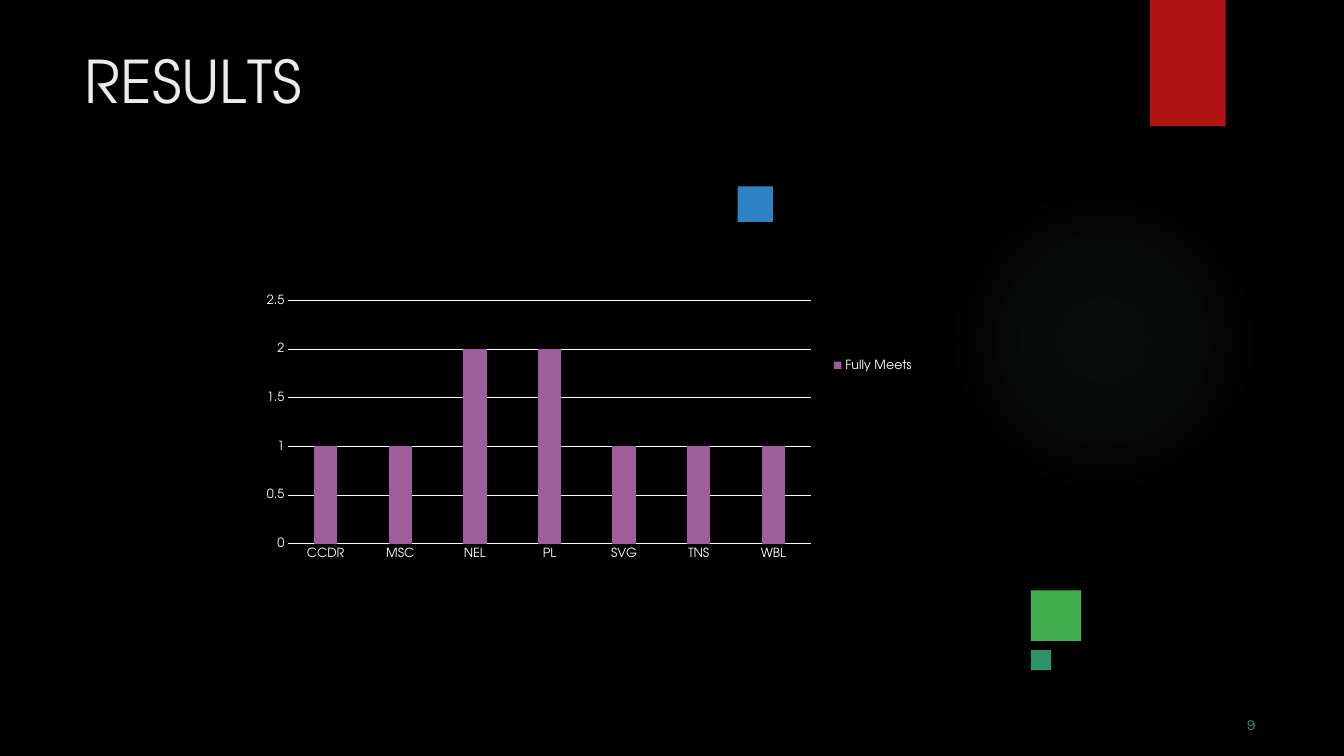
import pptx
import pptx.chart.data
import pptx.dml.color
import pptx.enum.chart
import pptx.enum.shapes
import pptx.enum.text
import pptx.oxml
import pptx.oxml.ns
import pptx.util

Cm, Pt = pptx.util.Cm, pptx.util.Pt

COLORS = {
    "background": "000000",
    "title": "EBEBEB",
    "chart_text": "FFFFFF",
    "bars": "9E5E9B",
    "red": "B01513",
    "green": "42AF51",
    "blue": "2D83C3",
    "teal": "2D936B",
    "glow": "50B9C1",
}
GLOW_STOPS = [(0, 7), (36, 6), (69, 0)]  # position and opacity in percent
SQUARES = [
    (25.98, 14.88, 1.27, "green"),
    (18.59, 4.7, 0.89, "blue"),
    (25.98, 16.38, 0.51, "teal"),
]
TITLE_KERNING = [("R", 0), ("E", -0.4), ("S", 0.1), ("U", -0.3), ("L", -4), ("TS", 0)]
FULLY_MEETS = {"CCDR": 1, "MSC": 1, "NEL": 2, "PL": 2, "SVG": 1, "TNS": 1, "WBL": 1}


def rgb(color):
    return pptx.dml.color.RGBColor.from_string(COLORS[color])


def format_font(font, size, color, family):
    font.size = Pt(size)
    font.name = family
    font.color.rgb = rgb(color)


def write_text(paragraph, text, *, size, color, family, spacing=0):
    """Add a run; spacing is the letter spacing in points."""
    run = paragraph.add_run()
    run.text = text
    format_font(run.font, size, color, family)
    if spacing:
        run.font._element.set("spc", str(round(spacing * 100)))


def draw_line(line, color):
    line.color.rgb = rgb(color)
    line.width = Pt(0.75)


def place_plot(chart, **fractions):
    """Fix the inner plot area as fractions of the chart (x, y, w, h)."""
    sizes = "".join(f'<c:{key} val="{value}"/>' for key, value in fractions.items())
    layout = pptx.oxml.parse_xml(
        f'<c:layout {pptx.oxml.ns.nsdecls("c")}><c:manualLayout>'
        '<c:layoutTarget val="inner"/><c:xMode val="edge"/><c:yMode val="edge"/>'
        f"{sizes}</c:manualLayout></c:layout>"
    )
    plot_area = chart._chartSpace.chart.plotArea
    for default in plot_area.findall(pptx.oxml.ns.qn("c:layout")):
        plot_area.remove(default)
    plot_area.insert(0, layout)


class SlideBuilder:
    heading_font = "TeX Gyre Adventor"
    number_font = "Karla"

    def __init__(self, presentation):
        self.slide = presentation.slides.add_slide(presentation.slide_layouts[6])
        background = self.slide.background.fill
        background.solid()
        background.fore_color.rgb = rgb("background")

    def block(self, left, top, width, height, color, kind="RECTANGLE"):
        shape = self.slide.shapes.add_shape(
            pptx.enum.shapes.MSO_SHAPE[kind], Cm(left), Cm(top), Cm(width), Cm(height)
        )
        shape.shadow.inherit = False
        shape.line.fill.background()
        shape.fill.solid()
        shape.fill.fore_color.rgb = rgb(color)
        return shape

    def glow(self, left, top, diameter):
        """Draw a circle that fades out from its centre."""
        circle = self.block(left, top, diameter, diameter, "glow", "OVAL")
        stops = "".join(
            f'<a:gs pos="{position * 1000}"><a:srgbClr val="{COLORS["glow"]}">'
            f'<a:alpha val="{opacity * 1000}"/></a:srgbClr></a:gs>'
            for position, opacity in GLOW_STOPS
        )
        gradient = pptx.oxml.parse_xml(
            f'<a:gradFill {pptx.oxml.ns.nsdecls("a")}><a:gsLst>{stops}</a:gsLst>'
            '<a:path path="circle"><a:fillToRect l="50000" t="50000" r="50000" b="50000"/>'
            "</a:path></a:gradFill>"
        )
        properties = circle._element.spPr
        properties.replace(properties.find(pptx.oxml.ns.qn("a:solidFill")), gradient)

    def text(self, left, top, width, height, runs, indent, **style):
        """Add a one-line box from (text, letter spacing) pairs."""
        box = self.slide.shapes.add_textbox(Cm(left), Cm(top), Cm(width), Cm(height))
        frame = box.text_frame
        frame.word_wrap = True
        frame.auto_size = pptx.enum.text.MSO_AUTO_SIZE.SHAPE_TO_FIT_TEXT
        frame.margin_left, frame.margin_top = Cm(indent), Cm(0.05)
        frame.margin_right = frame.margin_bottom = 0
        for letters, spacing in runs:
            write_text(frame.paragraphs[0], letters, spacing=spacing, **style)

    def column_chart(self, left, top, width, height, series_name, values):
        data = pptx.chart.data.CategoryChartData()
        data.categories = list(values)
        data.add_series(series_name, list(values.values()))
        chart = self.slide.shapes.add_chart(
            pptx.enum.chart.XL_CHART_TYPE.COLUMN_CLUSTERED,
            Cm(left), Cm(top), Cm(width), Cm(height), data,
        ).chart
        chart.has_title = False
        format_font(chart.font, 10, "chart_text", self.heading_font)
        place_plot(chart, x=0.131, y=0.349, w=0.714, h=0.567)

        plot = chart.plots[0]
        plot.gap_width, plot.overlap = 219, -27
        plot.vary_by_categories = False
        bars = plot.series[0].format.fill
        bars.solid()
        bars.fore_color.rgb = rgb("bars")

        for axis in (chart.category_axis, chart.value_axis):
            axis.major_tick_mark = pptx.enum.chart.XL_TICK_MARK.NONE
            axis.minor_tick_mark = pptx.enum.chart.XL_TICK_MARK.NONE
            format_font(axis.tick_labels.font, 9, "chart_text", self.heading_font)
        draw_line(chart.category_axis.format.line, "chart_text")
        chart.value_axis.format.line.fill.background()
        chart.value_axis.minimum_scale = 0
        chart.value_axis.maximum_scale = 2.5
        chart.value_axis.major_unit = 0.5
        draw_line(chart.value_axis.major_gridlines.format.line, "chart_text")

        chart.has_legend = True
        chart.legend.position = pptx.enum.chart.XL_LEGEND_POSITION.RIGHT
        chart.legend.include_in_layout = False
        format_font(chart.legend.font, 9, "chart_text", self.heading_font)


def main():
    presentation = pptx.Presentation()
    presentation.slide_width, presentation.slide_height = Cm(33.87), Cm(19.05)
    results = SlideBuilder(presentation)
    results.glow(23.9, 4.65, 7.82)
    results.block(28.98, 0, 1.91, 3.18, "red")
    for left, top, side, color in SQUARES:
        results.block(left, top, side, side, color)
    results.text(2.11, 1.07, 6.78, 1.73, TITLE_KERNING, indent=0.03,
                 size=42, color="title", family=results.heading_font)
    results.text(31.32, 17.98, 0.64, 0.53, [("9", 0.1)], indent=0.1,
                 size=11, color="teal", family=results.number_font)
    results.column_chart(4.85, 3.81, 18.44, 10.8, "Fully Meets", FULLY_MEETS)
    presentation.save("out.pptx")


if __name__ == "__main__":
    main()
